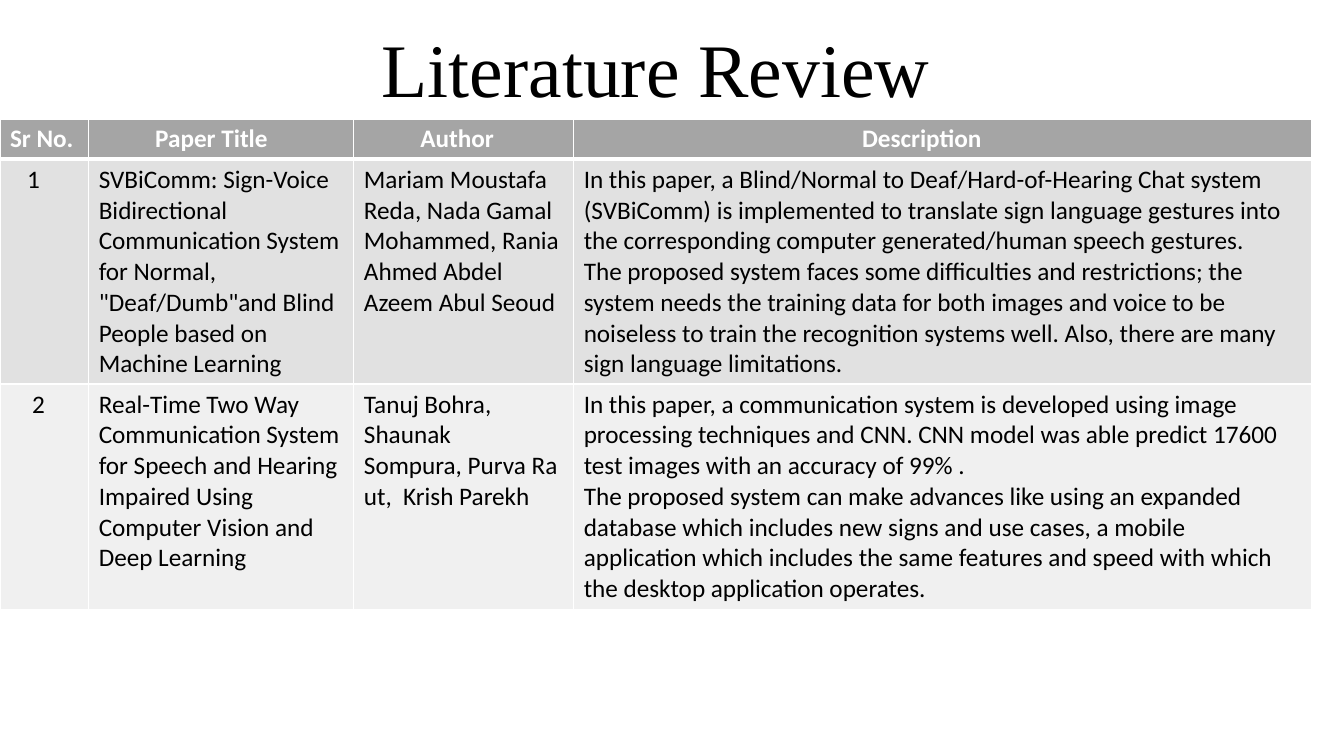
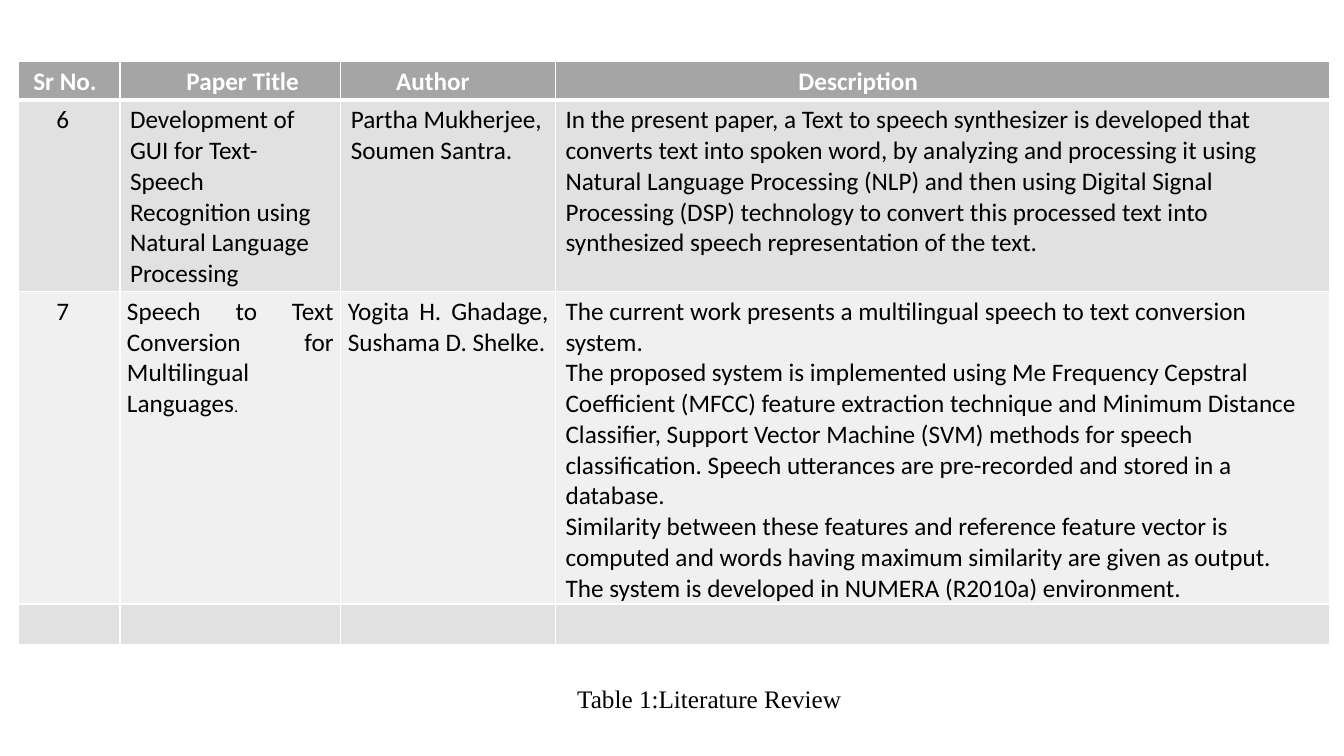
import dataclasses
import typing

import lxml.etree
import pptx
import pptx.dml.color
import pptx.enum.text
import pptx.oxml.ns
import pptx.util

# Shared look
EMU_PER_PX = 9144  # 100 px to the inch
WHITE, BLACK = "FFFFFF", "000000"
HEADER_FILL = "A5A5A5"
BAND_FILLS = ("E1E1E1", "F0F0F0")
TABLE_FONT, TITLE_FONT = "Calibri", "Times New Roman"
HEADINGS = ("Sr No.", "Paper Title", "Author", "Description")
NO_BREAK_SPACE = chr(160)  # written as ~ in the texts below
ALIGN = pptx.enum.text.PP_ALIGN


@dataclasses.dataclass(frozen=True)
class Entry:
    """Content of one table cell."""
    paragraphs: tuple[str, ...] = ()
    left: int = 10
    right: int = 10
    align: typing.Any = ALIGN.LEFT
    small_ending: str = ""


@dataclasses.dataclass(frozen=True)
class ReviewTable:
    """Place, grid and rows of one literature table."""
    left: int
    top: int
    widths: tuple[int, ...]
    heights: tuple[int, ...]
    heading_lefts: tuple[int, ...]
    rows: tuple[tuple[Entry, ...], ...]


def px(length: int) -> int:
    return pptx.util.Emu(length * EMU_PER_PX)


def rgb(color: str) -> pptx.dml.color.RGBColor:
    return pptx.dml.color.RGBColor.from_string(color)


def set_attributes(target: typing.Any, values: dict[str, typing.Any]) -> None:
    for name, value in values.items():
        setattr(target, name, value)


def add_run(paragraph: typing.Any, text: str, size: int, font: str,
            color: str = BLACK, bold: bool = False) -> None:
    run = paragraph.add_run()
    run.text = text.replace("~", NO_BREAK_SPACE)
    set_attributes(run.font, {"size": pptx.util.Pt(size), "name": font, "bold": bold})
    run.font.color.rgb = rgb(color)


def set_borders(cell: typing.Any, widths: dict[str, int]) -> None:
    properties = cell._tc.get_or_add_tcPr()
    for index, (side, width) in enumerate(widths.items()):
        line = lxml.etree.Element(pptx.oxml.ns.qn(f"a:ln{side}"),
                                  w=str(pptx.util.Pt(width)))
        fill = lxml.etree.SubElement(line, pptx.oxml.ns.qn("a:solidFill"))
        lxml.etree.SubElement(fill, pptx.oxml.ns.qn("a:srgbClr"), val=WHITE)
        properties.insert(index, line)


def fill_cell(cell: typing.Any, entry: Entry, row_index: int) -> None:
    is_header = row_index == 0
    cell.fill.solid()
    cell.fill.fore_color.rgb = rgb(
        HEADER_FILL if is_header else BAND_FILLS[(row_index - 1) % 2])
    set_attributes(cell, {"margin_left": px(entry.left), "margin_right": px(entry.right),
                          "margin_top": px(5), "margin_bottom": px(0)})
    set_borders(cell, {"L": 1, "R": 1, "T": 3 if row_index == 1 else 1,
                       "B": 3 if is_header else 1})
    frame = cell.text_frame
    for index, text in enumerate(entry.paragraphs):
        paragraph = frame.add_paragraph() if index else frame.paragraphs[0]
        paragraph.alignment = entry.align
        add_run(paragraph, text, 18, TABLE_FONT,
                WHITE if is_header else BLACK, is_header)
    if entry.small_ending:
        add_run(frame.paragraphs[-1], entry.small_ending, 12, TITLE_FONT)


def add_review_table(slide: typing.Any, review: ReviewTable) -> None:
    headings = tuple(Entry((text,), left, right=0)
                     for text, left in zip(HEADINGS, review.heading_lefts))
    rows = (headings, *review.rows)
    table = slide.shapes.add_table(
        len(rows), len(HEADINGS), px(review.left), px(review.top),
        px(sum(review.widths)), px(sum(review.heights))).table
    table.horz_banding = False
    for column, width in zip(table.columns, review.widths):
        column.width = px(width)
    for row_index, (row, height, entries) in enumerate(
            zip(table.rows, review.heights, rows)):
        row.height = px(height)
        for cell, entry in zip(row.cells, entries):
            fill_cell(cell, entry, row_index)


def place_heading(shape: typing.Any, text: str, size: int,
                  box: tuple[int, int, int, int]) -> None:
    set_attributes(shape, dict(zip(("left", "top", "width", "height"), map(px, box))))
    frame = shape.text_frame
    set_attributes(frame, {"word_wrap": True,
                           "auto_size": pptx.enum.text.MSO_AUTO_SIZE.NONE,
                           "vertical_anchor": pptx.enum.text.MSO_ANCHOR.TOP})
    paragraph = frame.paragraphs[0]
    paragraph.alignment = ALIGN.CENTER
    add_run(paragraph, text, size, TITLE_FONT)


# Table contents
FIRST_PAPERS = ReviewTable(
    left=0, top=118, widths=(88, 263, 218, 732), heights=(40, 223, 224),
    heading_lefts=(10, 66, 66, 286),
    rows=(
        (Entry(("1",), left=27),
         Entry(("SVBiComm: Sign-Voice Bidirectional Communication System for Normal, "
                "\"Deaf/Dumb\"and~Blind People based on Machine Learning",)),
         Entry(("Mariam Moustafa Reda, Nada Gamal Mohammed, Rania Ahmed Abdel "
                "Azeem Abul~Seoud",)),
         Entry(("In this paper, a Blind/Normal to Deaf/Hard-of-Hearing Chat system "
                "(SVBiComm) is implemented to translate sign language gestures into the "
                "corresponding computer generated/human speech gestures.",
                "The proposed system faces some difficulties and restrictions; the system "
                "needs the training data for both images and voice to be noiseless to "
                "train the recognition systems well. Also, there are many sign language "
                "limitations."))),
        (Entry(("2",), left=32),
         Entry(("Real-Time Two Way Communication System for Speech and Hearing Impaired "
                "Using Computer Vision and Deep Learning",)),
         Entry(("Tanuj~Bohra,", "Shaunak~ Sompura,~Purva~Raut,~ Krish~Parekh")),
         Entry(("In this paper, a communication system is developed using image "
                "processing techniques and CNN.~CNN model was able predict 17600 test "
                "images with an accuracy of 99% .",
                "The proposed system can make advances like using an~expanded database "
                "which includes new signs and use cases, a mobile application which "
                "includes the same features and speed with which the desktop application "
                "operates."))),
    ))

LAST_PAPERS = ReviewTable(
    left=18, top=61, widths=(101, 219, 213, 768), heights=(38, 190, 310, 40),
    heading_lefts=(15, 66, 55, 241),
    rows=(
        (Entry(("6",), left=38),
         Entry(("Development of GUI for Text-Speech Recognition using Natural Language "
                "Processing",), right=14),
         Entry(("Partha Mukherjee,", "Soumen Santra.")),
         Entry(("In the present paper, a Text to speech synthesizer is developed that "
                "converts text into spoken word, by analyzing and processing it using "
                "Natural Language Processing (NLP) and then using Digital Signal "
                "Processing (DSP) technology to convert this processed text into "
                "synthesized speech representation of the text.",))),
        (Entry(("7",), left=38),
         Entry(("Speech to Text Conversion for Multilingual Languages",),
               left=7, right=7, align=ALIGN.JUSTIFY, small_ending="."),
         Entry(("Yogita H. Ghadage, Sushama D. Shelke.",),
               left=7, right=7, align=ALIGN.JUSTIFY),
         Entry(("The current work presents a multilingual speech to text conversion "
                "system.",
                "The proposed system is implemented using Me Frequency Cepstral "
                "Coefficient (MFCC) feature extraction technique and Minimum Distance "
                "Classifier, Support Vector Machine (SVM) methods for speech "
                "classification. Speech utterances are pre-recorded and stored in a "
                "database.",
                "Similarity between these features and reference feature vector is "
                "computed and words having maximum similarity are given as output.",
                "The system is developed in NUMERA (R2010a) environment."))),
        (Entry(),) * len(HEADINGS),
    ))


def main() -> None:
    presentation = pptx.Presentation()
    set_attributes(presentation, {"slide_width": px(1333), "slide_height": px(750)})
    title_only, blank = presentation.slide_layouts[5], presentation.slide_layouts[6]

    # Slide 1: title and first papers
    slide = presentation.slides.add_slide(title_only)
    add_review_table(slide, FIRST_PAPERS)
    place_heading(slide.shapes.title, "Literature Review", 54, (50, 17, 1201, 101))

    # Slide 2: last papers and caption
    slide = presentation.slides.add_slide(blank)
    add_review_table(slide, LAST_PAPERS)
    caption = slide.shapes.add_textbox(0, 0, 0, 0)
    place_heading(caption, "Table 1:Literature Review", 18, (370, 673, 667, 40))

    presentation.save("out.pptx")


if __name__ == "__main__":
    main()
